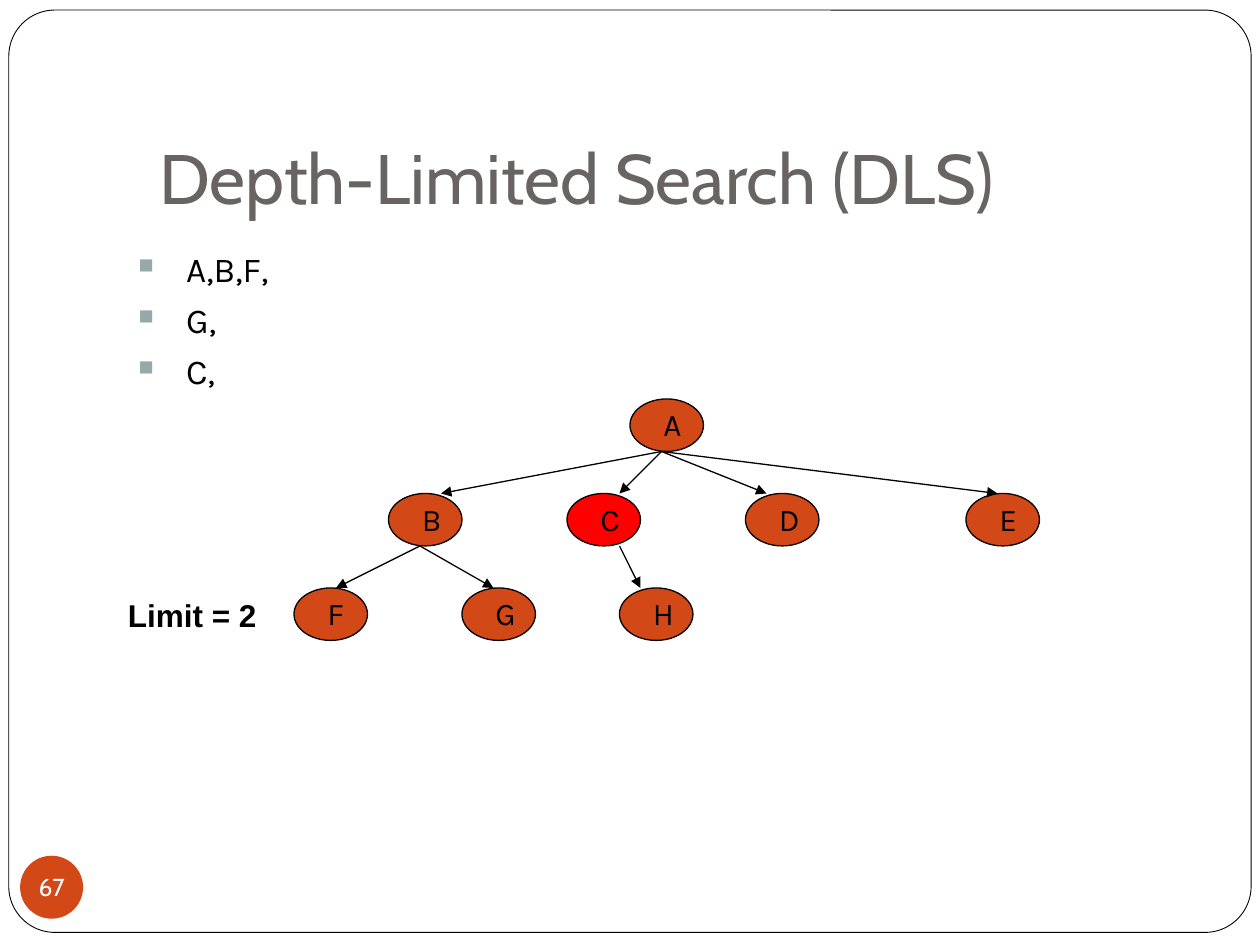
"""Build the depth-limited search slide with its tree of nodes."""
from dataclasses import dataclass

import lxml.etree
import pptx
import pptx.dml.color
import pptx.enum.shapes
import pptx.enum.text
import pptx.oxml.ns
import pptx.util

SHAPE = pptx.enum.shapes.MSO_SHAPE
ALIGN = pptx.enum.text.PP_ALIGN
ANCHOR = pptx.enum.text.MSO_ANCHOR
FIT = pptx.enum.text.MSO_AUTO_SIZE


@dataclass(frozen=True)
class Theme:
    """Colours, fonts and type sizes of the slide."""
    paper: str = "FFFFFF"
    ink: str = "000000"
    heading: str = "696464"
    accent: str = "D34817"
    current: str = "FF0000"
    bullet: str = "96A9A9"
    display_font: str = "Cabin"
    body_font: str = "Karla"
    limit_font: str = "Arial"
    title_size: int = 40
    body_size: int = 20
    label_size: int = 18
    number_size: int = 14


class TreeSlide:
    """Draws on one slide over a grid of 120 columns by 90 rows."""
    COLUMNS, ROWS = 120, 90
    NODE_WIDTH, NODE_HEIGHT, LABEL_INDENT, LABEL_HEIGHT = 7, 5, 2, 4.8

    def __init__(self, deck, theme):
        self.theme = theme
        self.column = deck.slide_width / self.COLUMNS
        self.row = deck.slide_height / self.ROWS
        self.slide = deck.slides.add_slide(deck.slide_layouts[5])

    def place(self, left, top, width, height):
        return (round(left * self.column), round(top * self.row),
                round(width * self.column), round(height * self.row))

    def color(self, code):
        return pptx.dml.color.RGBColor.from_string(code)

    def style(self, paragraph, font, size, color, bold=False):
        paragraph.font.name = font
        paragraph.font.size = pptx.util.Pt(size)
        paragraph.font.bold = bold
        paragraph.font.color.rgb = self.color(color)

    def outline(self, shape, weight):
        shape.line.color.rgb = self.color(self.theme.ink)
        shape.line.width = pptx.util.Pt(weight)

    def filled(self, parent, kind, area, fill, weight=None):
        shape = parent.add_shape(kind, *self.place(*area))
        shape.shadow.inherit = False
        shape.fill.solid()
        shape.fill.fore_color.rgb = self.color(fill)
        if weight:
            self.outline(shape, weight)
        else:
            shape.line.fill.background()
        return shape

    def frame(self, *area):
        border = self.filled(self.slide.shapes, SHAPE.ROUNDED_RECTANGLE,
                             area, self.theme.paper, 0.5)
        border.adjustments[0] = 0.05
        border.element.getparent().insert(2, border.element)

    def title(self, text, *area):
        heading = self.slide.shapes.title
        heading.left, heading.top, heading.width, heading.height = self.place(*area)
        body = heading.text_frame
        body.text = text
        body.auto_size = FIT.NONE
        body.vertical_anchor = ANCHOR.BOTTOM
        body.margin_bottom = pptx.util.Inches(0.1)
        body.paragraphs[0].alignment = ALIGN.LEFT
        self.style(body.paragraphs[0], self.theme.display_font,
                   self.theme.title_size, self.theme.heading)

    def page_number(self, number, *area):
        badge = self.filled(self.slide.shapes, SHAPE.OVAL, area, self.theme.accent)
        body = badge.text_frame
        body.text = number
        body.word_wrap = False
        body.vertical_anchor = ANCHOR.MIDDLE
        body.margin_left = body.margin_right = body.margin_top = body.margin_bottom = 0
        body.paragraphs[0].alignment = ALIGN.CENTER
        self.style(body.paragraphs[0], self.theme.display_font,
                   self.theme.number_size, self.theme.paper)

    def bullets(self, steps, *area):
        body = self.slide.shapes.add_textbox(*self.place(*area)).text_frame
        body.word_wrap = True
        body.text = "\n".join(steps)
        indent = pptx.util.Inches(0.38)
        for index, step in enumerate(body.paragraphs):
            if index:
                step.space_before = pptx.util.Pt(5)
            properties = step._p.get_or_add_pPr()
            properties.set("marL", str(indent))
            properties.set("indent", str(-indent))
            tint = self.add_xml(properties, "a:buClr")
            self.add_xml(tint, "a:srgbClr", val=self.theme.bullet)
            self.add_xml(properties, "a:buSzPct", val="60000")
            self.add_xml(properties, "a:buChar", char="■")
            self.style(step, self.theme.body_font, self.theme.body_size, self.theme.ink)

    def add_xml(self, parent, tag, **attributes):
        return lxml.etree.SubElement(parent, pptx.oxml.ns.qn(tag), **attributes)

    def label(self, parent, text, area, font, bold=False):
        body = parent.add_textbox(*self.place(*area)).text_frame
        body.word_wrap = True
        body.auto_size = FIT.SHAPE_TO_FIT_TEXT
        body.text = text
        self.style(body.paragraphs[0], font, self.theme.label_size, self.theme.ink, bold)

    def node(self, name, left, top, fill):
        pair = self.slide.shapes.add_group_shape().shapes
        self.filled(pair, SHAPE.OVAL, (left, top, self.NODE_WIDTH, self.NODE_HEIGHT),
                    fill, 0.75)
        self.label(pair, name, (left + self.LABEL_INDENT, top,
                                self.NODE_WIDTH - self.LABEL_INDENT, self.LABEL_HEIGHT),
                   self.theme.body_font)

    def arrow(self, start, end):
        edge = self.slide.shapes.add_connector(
            pptx.enum.shapes.MSO_CONNECTOR.STRAIGHT, *self.place(*start, *end))
        self.outline(edge, 0.75)
        self.add_xml(edge.line._get_or_add_ln(), "a:tailEnd", type="triangle")
        self.add_xml(edge.element.spPr, "a:effectLst")


def main():
    theme = Theme()
    deck = pptx.Presentation()
    deck.slide_width = pptx.util.Inches(10)
    deck.slide_height = pptx.util.Inches(7.5)
    page = TreeSlide(deck, theme)

    page.frame(0.84, 0.96, 118.32, 87.84)
    page.title("Depth-Limited Search (DLS)", 14, 7, 102, 15)
    page.page_number("67", 1.92, 81.5, 6, 6)
    page.bullets(["A,B,F,", "G,", "C,"], 12, 23, 102, 11)

    levels = {38: {"A": 60},
              47: {"B": 37, "C": 54, "E": 92, "D": 71},
              56: {"F": 28, "G": 44, "H": 59}}
    corners = {name: (left, top) for top, level in levels.items()
               for name, left in level.items()}
    for name, corner in corners.items():
        page.node(name, *corner, theme.current if name == "C" else theme.accent)

    departures = {"A": 3, "B": 3, "C": 5}
    arrivals = {"A": {"B": 5, "C": 5, "D": 2, "E": 3},
                "B": {"F": 4, "G": 3},
                "C": {"H": 2}}
    for parent, children in arrivals.items():
        left, top = corners[parent]
        start = (left + departures[parent], top + page.NODE_HEIGHT)
        for child, offset in children.items():
            child_left, child_top = corners[child]
            page.arrow(start, (child_left + offset, child_top))

    page.label(page.slide.shapes, "Limit = 2", (11, 56.2, 16, page.LABEL_HEIGHT),
               theme.limit_font, bold=True)
    deck.save("out.pptx")


if __name__ == "__main__":
    main()
